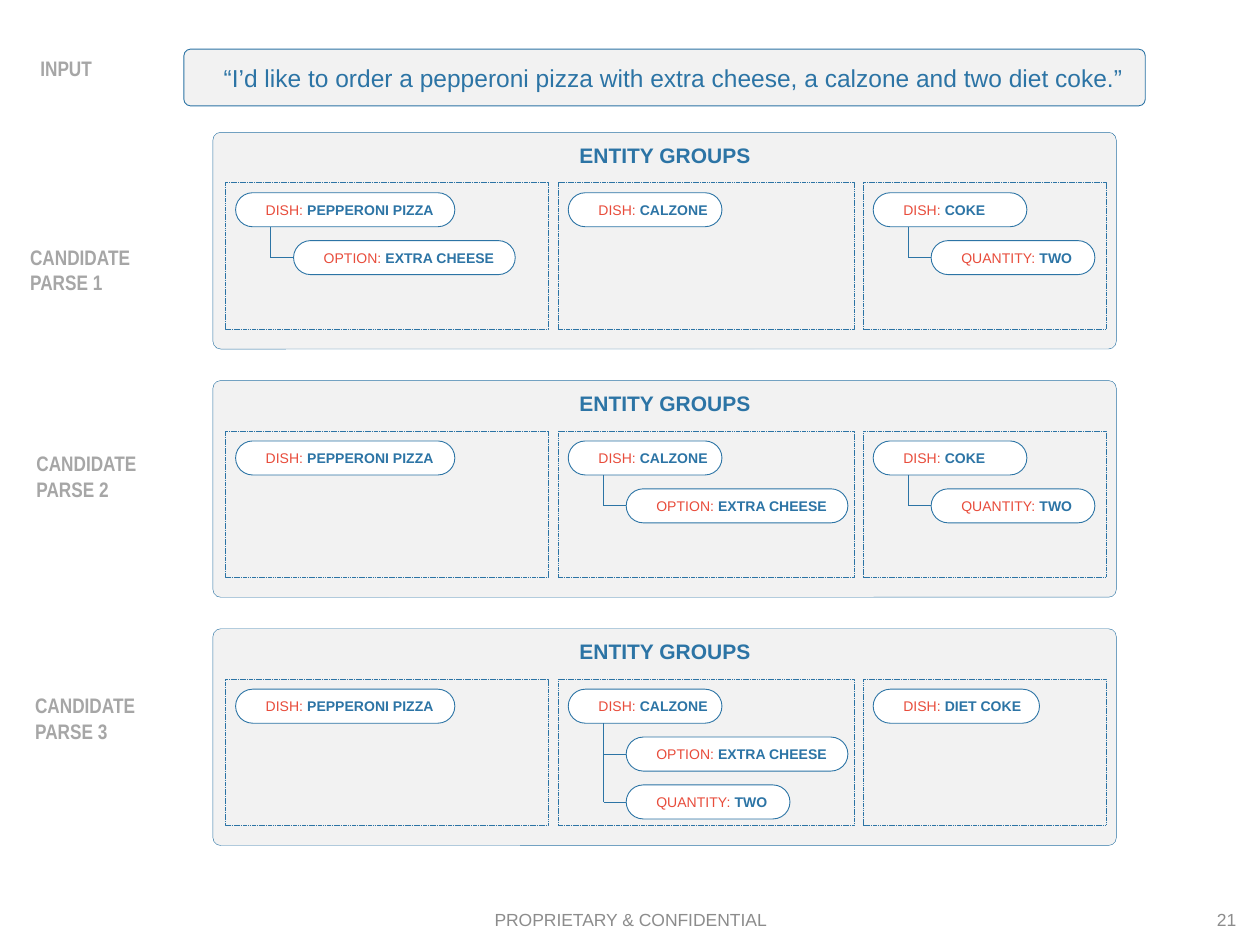
from dataclasses import dataclass

from lxml.etree import SubElement
from pptx import Presentation
from pptx.dml.color import RGBColor
from pptx.enum.dml import MSO_LINE
from pptx.enum.shapes import MSO_CONNECTOR, MSO_SHAPE
from pptx.enum.text import MSO_ANCHOR, PP_ALIGN
from pptx.oxml.ns import qn
from pptx.util import Inches, Pt


@dataclass(frozen=True)
class Theme:
    blue: str = "2C74A5"
    red: str = "E84C3B"
    panel: str = "F2F2F2"
    white: str = "FFFFFF"
    label: str = "A6A6A6"
    footer: str = "8C8C8C"
    font: str = "Arial"
    label_font: str = "Arial Narrow"
    quote_size: float = 14
    heading_size: float = 12
    footer_size: float = 10
    pill_size: float = 8
    line: float = 0.5
    thin_line: float = 0.25


THEME = Theme()

# Panel grid: each panel repeats the same three columns
PANEL_LEFT, PANEL_TOP, PANEL_PITCH = 1.69, 1.05, 1.97
PANEL_WIDTH, PANEL_HEIGHT = 7.17, 1.72
COLUMNS = [(1.79, 2.56), (4.43, 2.35), (6.85, 1.93)]
PILL_HEIGHT, CHILD_PITCH = 0.27, 0.38
PILL_WIDTHS = {
    "PEPPERONI PIZZA": 1.74, "CALZONE": 1.22, "COKE": 1.22,
    "DIET COKE": 1.32, "EXTRA CHEESE": 1.76, "TWO": 1.3,
}

CHEESE = ("OPTION", "EXTRA CHEESE")
TWO = ("QUANTITY", "TWO")
# Label, label position, and for each column the dish and its details
PARSES = [
    ("PARSE 1", (0.14, 1.89),
     [("PEPPERONI PIZZA", [CHEESE]), ("CALZONE", []), ("COKE", [TWO])]),
    ("PARSE 2", (0.19, 3.53),
     [("PEPPERONI PIZZA", []), ("CALZONE", [CHEESE]), ("COKE", [TWO])]),
    ("PARSE 3", (0.18, 5.45),
     [("PEPPERONI PIZZA", []), ("CALZONE", [CHEESE, TWO]), ("DIET COKE", [])]),
]


def add_span(para, text, *, size, color, font=THEME.font, bold=False):
    span = para.add_run()
    span.text = text
    span.font.name = font
    span.font.size = Pt(size)
    span.font.bold = bold
    span.font.color.rgb = RGBColor.from_string(color)


class SlideBuilder:
    def __init__(self, slide, theme):
        self.shapes = slide.shapes
        self.theme = theme

    def text(self, left, top, width, height, lines, *, align=PP_ALIGN.LEFT,
             anchor=MSO_ANCHOR.TOP, wrap=False, **style):
        box = self.shapes.add_textbox(*map(Inches, (left, top, width, height)))
        frame = box.text_frame
        frame.word_wrap = wrap
        frame.vertical_anchor = anchor
        for index, line in enumerate(lines):
            para = frame.add_paragraph() if index else frame.paragraphs[0]
            para.alignment = align
            add_span(para, line, **style)

    def label(self, left, top, width, height, lines, **layout):
        self.text(left, top, width, height, lines, size=self.theme.heading_size,
                  font=self.theme.label_font, color=self.theme.label, bold=True, **layout)

    def footer(self, left, width, line, align):
        self.text(left, 7.1, width, 0.4, [line], align=align, anchor=MSO_ANCHOR.MIDDLE,
                  wrap=True, size=self.theme.footer_size, color=self.theme.footer)

    def block(self, left, top, width, height, *, fill=None, corner=None,
              line=THEME.line, dash=None):
        kind = MSO_SHAPE.RECTANGLE if corner is None else MSO_SHAPE.ROUNDED_RECTANGLE
        shape = self.shapes.add_shape(kind, *map(Inches, (left, top, width, height)))
        shape.shadow.inherit = False
        if corner is not None:
            shape.adjustments[0] = corner
        if fill:
            shape.fill.solid()
            shape.fill.fore_color.rgb = RGBColor.from_string(fill)
        else:
            shape.fill.background()
        shape.line.color.rgb = RGBColor.from_string(self.theme.blue)
        shape.line.width = Pt(line)
        if dash:
            shape.line.dash_style = dash
        return shape

    def fill_text(self, shape, spans, *, size, left_inset, right_inset):
        frame = shape.text_frame
        frame.word_wrap = True
        frame.vertical_anchor = MSO_ANCHOR.MIDDLE
        frame.margin_left, frame.margin_right = Inches(left_inset), Inches(right_inset)
        para = frame.paragraphs[0]
        para.alignment = PP_ALIGN.LEFT
        para.space_after = Pt(6)
        for text, color, bold in spans:
            add_span(para, text, size=size, color=color, bold=bold)

    def pill(self, left, top, kind, value):
        shape = self.block(left, top, PILL_WIDTHS[value], PILL_HEIGHT,
                           fill=self.theme.white, corner=0.5)
        spans = [(f"{kind}: ", self.theme.red, False), (value, self.theme.blue, True)]
        self.fill_text(shape, spans, size=self.theme.pill_size,
                       left_inset=0.2, right_inset=0.04)
        return shape

    def connector(self, start, end):
        line = self.shapes.add_connector(MSO_CONNECTOR.STRAIGHT,
                                         *map(Inches, (*start, *end)))
        line.line.color.rgb = RGBColor.from_string(self.theme.blue)
        line.line.width = Pt(self.theme.line)
        SubElement(line._element.spPr, qn("a:effectLst"))
        return line

    def entity_group(self, left, top, dish, details):
        self.pill(left + 0.08, top, "DISH", dish)
        stem = left + 0.36
        for index, detail in enumerate(details):
            child_top = top + CHILD_PITCH * (index + 1)
            middle = child_top + PILL_HEIGHT / 2
            child = self.pill(left + 0.54, child_top, *detail)
            branch = self.connector((stem, middle), (left + 0.54, middle))
            branch.end_connect(child, 1)
        if details:
            self.connector((stem, top + PILL_HEIGHT), (stem, middle))

    def panel(self, top, groups):
        self.block(PANEL_LEFT, top, PANEL_WIDTH, PANEL_HEIGHT, fill=self.theme.panel,
                   corner=0.036, line=self.theme.thin_line)
        self.text(4.5, top + 0.03, 1.58, 0.3, ["ENTITY GROUPS"],
                  size=self.theme.heading_size, color=self.theme.blue, bold=True)
        for (left, width), (dish, details) in zip(COLUMNS, groups):
            self.block(left, top + 0.4, width, 1.16, line=self.theme.thin_line,
                       dash=MSO_LINE.SQUARE_DOT)
            self.entity_group(left, top + 0.48, dish, details)


def main():
    deck = Presentation()
    deck.slide_width, deck.slide_height = Inches(10), Inches(7.5)
    page = SlideBuilder(deck.slides.add_slide(deck.slide_layouts[6]), THEME)

    # Input sentence
    page.label(0.19, 0.39, 0.67, 0.3, ["INPUT"], align=PP_ALIGN.CENTER,
               anchor=MSO_ANCHOR.MIDDLE)
    quote = page.block(1.46, 0.39, 7.63, 0.45, fill=THEME.panel, corner=0.117)
    sentence = "“I’d like to order a pepperoni pizza with extra cheese, a calzone and two diet coke.”"
    page.fill_text(quote, [(sentence, THEME.blue, False)], size=THEME.quote_size,
                   left_inset=0.3, right_inset=0.1)

    # Candidate parses
    for index, (name, position, groups) in enumerate(PARSES):
        page.label(*position, 1.01, 0.5, ["CANDIDATE", name])
        page.panel(PANEL_TOP + index * PANEL_PITCH, groups)

    # Footer
    page.footer(3.42, 3.17, "PROPRIETARY & CONFIDENTIAL", PP_ALIGN.CENTER)
    page.footer(7.58, 2.33, "21", PP_ALIGN.RIGHT)

    deck.save("out.pptx")


if __name__ == "__main__":
    main()
